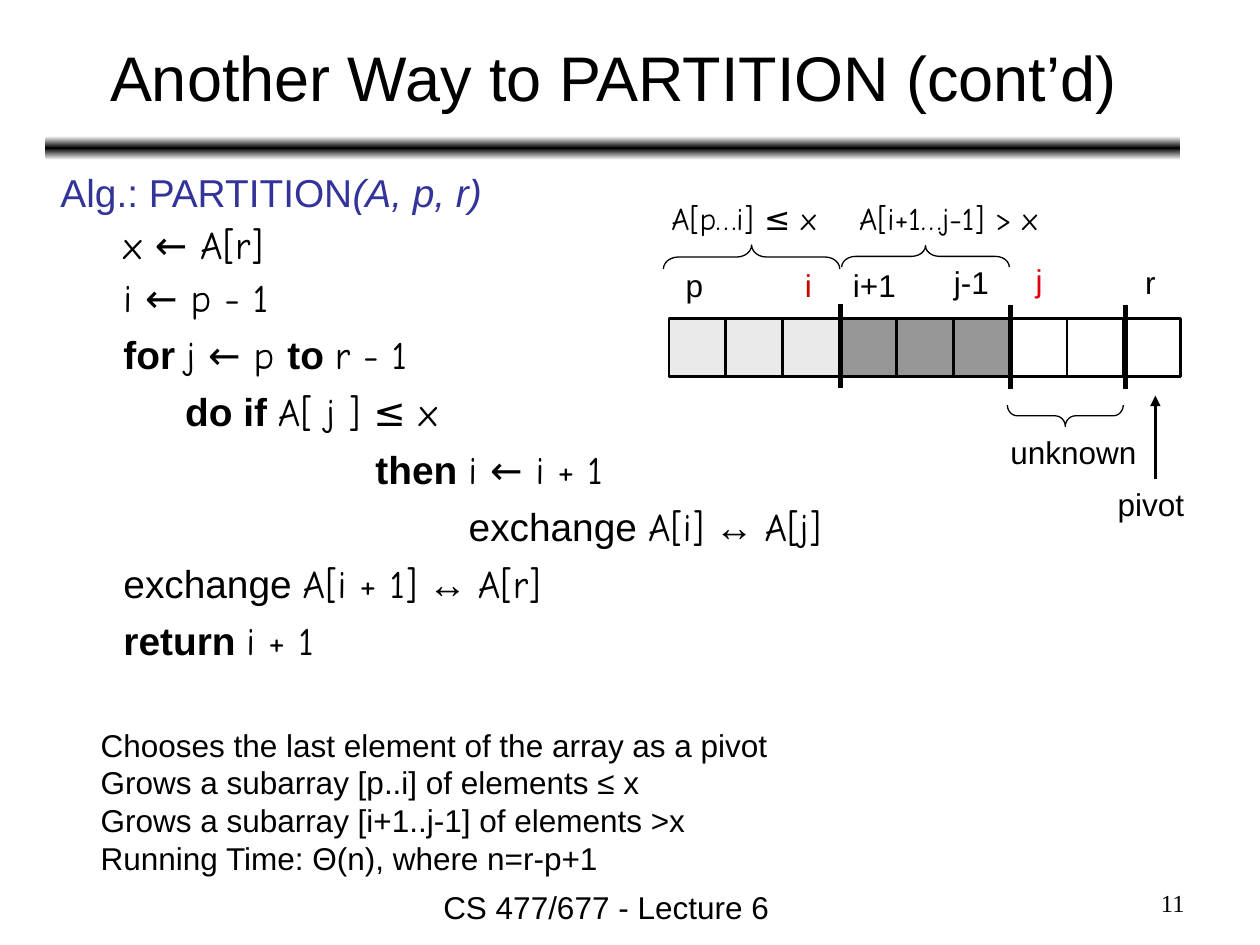
from copy import deepcopy
from dataclasses import dataclass

from lxml import etree
from pptx import Presentation
from pptx.dml.color import RGBColor
from pptx.enum.shapes import MSO_CONNECTOR, MSO_SHAPE
from pptx.enum.text import MSO_ANCHOR, MSO_AUTO_SIZE, PP_ALIGN
from pptx.oxml.ns import qn
from pptx.util import Inches, Pt

LEFT, MID, RIGHT = PP_ALIGN.LEFT, PP_ALIGN.CENTER, PP_ALIGN.RIGHT
RECT, ROUND, BRACE = MSO_SHAPE.RECTANGLE, MSO_SHAPE.ROUNDED_RECTANGLE, MSO_SHAPE.LEFT_BRACE
LINE = MSO_CONNECTOR.STRAIGHT


@dataclass(frozen=True)
class Theme:
    ink: str = "000000"
    white: str = "FFFFFF"
    head: str = "333399"
    small: str = "EAEAEA"
    large: str = "969696"
    i_red: str = "CC0000"
    j_red: str = "DD0111"
    sans: str = "Arial"
    hand: str = "Comic Neue"
    serif: str = "Times New Roman"
    title: float = 36
    code: float = 22.2
    text: float = 18
    page: float = 14


T = Theme()


def write(para, text, size=T.text, font=T.sans, color=T.ink, bold=False, italic=False):
    """Add one formatted run to a paragraph."""
    run = para.add_run()
    run.text = text
    face = run.font
    face.size, face.name, face.bold, face.italic = Pt(size), font, bold, italic
    face.color.rgb = RGBColor.from_string(color)


def label(lines, box, align=LEFT, wrap=True, **form):
    """Add a text box with one paragraph per line."""
    frame = slide.shapes.add_textbox(*map(Inches, box)).text_frame
    frame.word_wrap = wrap
    for n, text in enumerate(lines.split("\n")):
        para = frame.add_paragraph() if n else frame.paragraphs[0]
        para.alignment = align
        write(para, text, **form)


deck = Presentation()
deck.slide_width, deck.slide_height = Inches(10), Inches(7.5)
slide = deck.slides.add_slide(deck.slide_layouts[1])
title, body = slide.placeholders
for holder, box in ((title, (0.37, 0.11, 9, 0.99)), (body, (0.38, 1.29, 6.25, 4.43))):
    holder.left, holder.top, holder.width, holder.height = map(Inches, box)
    holder.text_frame.auto_size = MSO_AUTO_SIZE.NONE

# Title and the bar below it
title.text_frame.vertical_anchor = MSO_ANCHOR.MIDDLE
title.text_frame.paragraphs[0].alignment = MID
write(title.text_frame.paragraphs[0], "Another Way to PARTITION (cont’d)", size=T.title)

bar = slide.shapes.add_shape(ROUND, Inches(0.36), Inches(1.08), Inches(9.01), Inches(0.19))
bar.shadow.inherit = False
bar.line.fill.background()
bar.fill.gradient()
bar.fill.gradient_angle = 90
first = bar.fill._fill._gradFill.find(qn("a:gsLst"))[0]
first.addnext(deepcopy(first))
for stop, place, color in zip(bar.fill.gradient_stops, (0, 0.5, 1), (T.white, T.ink, T.white)):
    stop.position = place
    stop.color.rgb = RGBColor.from_string(color)

# Pseudocode: left edge, line spacing, runs
PLAIN = {"size": T.code}
HEAD = {**PLAIN, "color": T.head}
SLANT = {**HEAD, "italic": True}
KEY = {**PLAIN, "bold": True}
MATH = {**PLAIN, "font": T.hand}
steps = [
    (0, 1, [("Alg.: PARTITION", HEAD), ("(A, p, r)", SLANT)]),
    (0.5, 0.9, [("x ← A[r]", MATH)]),
    (0.5, 0.9, [("i ← p - 1", MATH)]),
    (0.5, 1, [("for ", KEY), ("j ← p ", MATH), ("to ", KEY), ("r - 1", MATH)]),
    (0.99, 1, [("do if ", KEY), ("A[ j ] ≤ x", MATH)]),
    (2.5, 1, [("then ", KEY), ("i ← i + 1", MATH)]),
    (3.24, 1, [("exchange ", PLAIN), ("A[i]", MATH), (" ↔ ", PLAIN), ("A[j]", MATH)]),
    (0.5, 1, [("exchange ", PLAIN), ("A[i + 1]", MATH), (" ↔ ", PLAIN), ("A[r]", MATH)]),
    (0.5, 1, [("return ", KEY), ("i + 1", MATH)]),
]
for n, (edge, lead, runs) in enumerate(steps):
    para = body.text_frame.add_paragraph() if n else body.text_frame.paragraphs[0]
    para.level = 1 if n else 0
    para.line_spacing, para.space_before = lead, Pt(6)
    props = para._p.get_or_add_pPr()
    props.set("marL", str(Inches(edge)))
    props.set("indent", "0")
    etree.SubElement(props, qn("a:buNone"))
    for text, form in runs:
        write(para, text, **form)

label("Chooses the last element of the array as a pivot\n"
      "Grows a subarray [p..i] of elements ≤ x\n"
      "Grows a subarray [i+1..j-1] of elements >x\n"
      "Running Time: Θ(n), where n=r-p+1", (0.7, 5.71, 5.81, 1.3))

# Array cells
start, top, high = 5.31, 2.53, 0.46
step = (9.37 - start) / 9
for n, fill in enumerate([T.small] * 3 + [T.large] * 3 + [None] * 3):
    cell = slide.shapes.add_shape(
        RECT, Inches(start + n * step), Inches(top), Inches(step), Inches(high))
    cell.shadow.inherit = False
    cell.line.color.rgb, cell.line.width = RGBColor.from_string(T.ink), Pt(1.5)
    if fill:
        cell.fill.solid()
        cell.fill.fore_color.rgb = RGBColor.from_string(fill)
    else:
        cell.fill.background()

# Braces over and under the parts: box before turning, turn, curl
for box, turn, curl in (
    ((5.87, 1.34, 0.19, 1.4), 90, 0.62),
    ((7.26, 1.37, 0.17, 1.33), 90, 0.65),
    ((8.37, 2.84, 0.17, 0.92), 270, 0.47),
):
    brace = slide.shapes.add_shape(BRACE, *map(Inches, box))
    brace.rotation, brace.adjustments[0] = turn, curl
    brace.shadow.inherit = False
    brace.fill.background()
    brace.line.color.rgb, brace.line.width = RGBColor.from_string(T.ink), Pt(0.75)

# Dividers between the parts, then the pivot arrow
for x, y, end, width in (
    (6.67, 2.41, 3.08, 3), (8.02, 2.42, 3.09, 3), (8.93, 2.42, 3.09, 3), (9.17, 3.8, 3.14, 1.5),
):
    line = slide.shapes.add_connector(LINE, Inches(x), Inches(y), Inches(x), Inches(end))
    line.line.color.rgb, line.line.width = RGBColor.from_string(T.ink), Pt(width)
    etree.SubElement(line._element.spPr, qn("a:effectLst"))
etree.SubElement(line.line._get_or_add_ln(), qn("a:tailEnd"), type="triangle")

# Labels of the array
label("A[p…i] ≤ x", (5.23, 1.53, 1.46, 0.4), font=T.hand)
label("A[i+1…j-1] > x", (6.72, 1.53, 1.96, 0.4), font=T.hand)
for text, x, y, wide, color in (
    ("p", 5.34, 2.06, 0.34, T.ink),
    ("i", 6.29, 2.06, 0.25, T.i_red),
    ("i+1", 6.67, 2.06, 0.54, T.ink),
    ("j-1", 7.47, 2.04, 0.48, T.ink),
    ("j", 8.12, 2.02, 0.25, T.j_red),
    ("r", 8.99, 2.04, 0.28, T.ink),
    ("unknown", 7.92, 3.39, 1.2, T.ink),
    ("pivot", 8.77, 3.8, 0.73, T.ink),
):
    label(text, (x, y, wide, 0.4), align=MID, wrap=False, color=color)

# Footer
label("CS 477/677 - Lecture 6", (3.42, 7, 3.17, 0.35))
label("11", (7.17, 7, 2.33, 0.35), align=RIGHT, size=T.page, font=T.serif)

deck.save("out.pptx")
